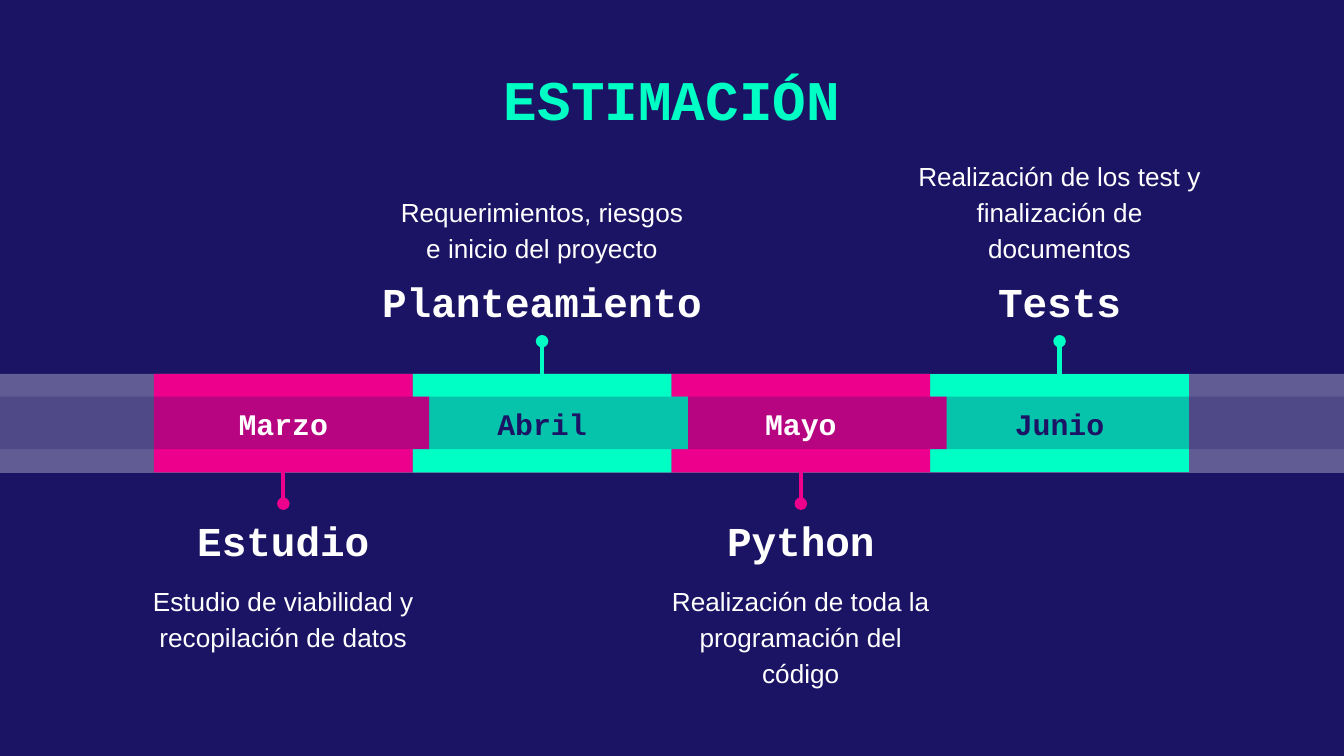
from lxml import etree
from pptx import Presentation
from pptx import util as u
from pptx.dml.color import RGBColor
from pptx.enum import shapes, text
from pptx.oxml import ns

NAVY = RGBColor(0x1B, 0x14, 0x64)
MINT = RGBColor(0x00, 0xFF, 0xC5)
PINK = RGBColor(0xEC, 0x00, 0x8C)
WHITE = RGBColor(0xFF, 0xFF, 0xFF)
MONO, SANS = "Courier New", "Arial"

WIDTH, HEIGHT = 25.4, 14.29
LEFT, STEP, TAB = 2.91, 4.89, 0.31     # month blocks
TOP, BASE = 7.07, 8.93                 # outer band
UPPER, LOWER = 7.5, 8.49               # inner band


class Deck:
    def __init__(self):
        self.prs = Presentation()
        self.prs.slide_width = u.Cm(WIDTH)
        self.prs.slide_height = u.Cm(HEIGHT)
        self.slide = self.prs.slides.add_slide(self.prs.slide_layouts[6])
        fill = self.slide.background.fill
        fill.solid()
        fill.fore_color.rgb = NAVY

    def paint(self, shape, color, alpha=None):
        shape.shadow.inherit = False
        shape.line.fill.background()
        shape.fill.solid()
        shape.fill.fore_color.rgb = color
        if alpha:
            tone = shape.fill._xPr.find(".//" + ns.qn("a:srgbClr"))
            etree.SubElement(tone, ns.qn("a:alpha"), val=str(alpha * 1000))

    def band(self, top, base, color, alpha):
        """Draw a see-through strip across the whole slide."""
        shape = self.slide.shapes.add_shape(
            shapes.MSO_SHAPE.RECTANGLE, 0, u.Cm(top), u.Cm(WIDTH), u.Cm(base - top))
        self.paint(shape, color, alpha)

    def block(self, left, color, tab):
        """Draw a month block, with a tab on its right side if asked."""
        right = left + STEP
        points = [(left, TOP), (left, BASE), (right, BASE)]
        if tab:
            points += [(right, LOWER), (right + TAB, LOWER),
                       (right + TAB, UPPER), (right, UPPER)]
        points.append((right, TOP))
        points = [(u.Cm(x), u.Cm(y)) for x, y in points]
        build = self.slide.shapes.build_freeform(*points[0], scale=1.0)
        build.add_line_segments(points[1:], close=True)
        self.paint(build.convert_to_shape(), color)

    def label(self, words, mid, top, width, height, size, color=WHITE,
              font=MONO, pad=0.0, low=False, gap=None):
        """Write centred text in a box centred on mid."""
        box = self.slide.shapes.add_textbox(
            u.Cm(mid - width / 2), u.Cm(top), u.Cm(width), u.Cm(height))
        frame = box.text_frame
        frame.word_wrap = True
        frame.margin_top = frame.margin_bottom = u.Cm(pad)
        anchor = text.MSO_ANCHOR
        frame.vertical_anchor = anchor.BOTTOM if low else anchor.TOP
        para = frame.paragraphs[0]
        para.text = words
        para.alignment = text.PP_ALIGN.CENTER
        if gap:
            para.line_spacing = gap
        para.font.name = font
        para.font.size = u.Pt(size)
        para.font.bold = font == MONO
        para.font.color.rgb = color

    def pin(self, mid, start, end, color):
        """Draw an upright line with a dot at its start."""
        line = self.slide.shapes.add_connector(
            shapes.MSO_CONNECTOR.STRAIGHT, u.Cm(mid), u.Cm(start), u.Cm(mid), u.Cm(end))
        line.line.color.rgb = color
        line.line.width = u.Pt(2.25)
        etree.SubElement(line.line._get_or_add_ln(), ns.qn("a:headEnd"), type="oval")
        etree.SubElement(line._element.spPr, ns.qn("a:effectLst"))


# Month, heading, heading width, description, description width
STAGES = [
    ("Marzo", "Estudio", 5.87,
     "Estudio de viabilidad y recopilación de datos", 5.87),
    ("Abril", "Planteamiento", 6.78,
     "Requerimientos, riesgos e inicio del proyecto", 5.87),
    ("Mayo", "Python", 5.87,
     "Realización de toda la programación del código", 5.87),
    ("Junio", "Tests", 5.87,
     "Realización de los test y finalización de documentos", 6.45),
]


def main():
    deck = Deck()

    # Timeline bar; each tab overlaps the block to its right
    deck.band(TOP, BASE + 0.01, WHITE, 31)
    last = len(STAGES) - 1
    for i in range(last, -1, -1):
        deck.block(LEFT + i * STEP, MINT if i % 2 else PINK, i < last)
    deck.band(UPPER, LOWER, NAVY, 25)

    # Title
    deck.label("ESTIMACIÓN", WIDTH / 2, 0.97, 18.29, 1.85, 30, MINT, pad=0.25)

    # Stages: odd ones above the bar, even ones below
    for i, (month, head, wide, note, span) in enumerate(STAGES):
        mid = LEFT + (i + 0.5) * STEP
        above = i % 2 == 1
        deck.label(head, mid, 5.23 if above else 9.75, wide, 0.99, 22)
        deck.label(note, mid, 3.56 if above else 10.97, span, 1.42, 14,
                   font=SANS, low=above, gap=1.15)
        deck.label(month, mid, 7.42, 4.34, 0.99, 16,
                   NAVY if above else WHITE, pad=0.25)
        if above:
            deck.pin(mid, 6.45, 7.09, MINT)
        else:
            deck.pin(mid, 9.52, 8.89, PINK)

    deck.prs.save("out.pptx")


if __name__ == "__main__":
    main()
